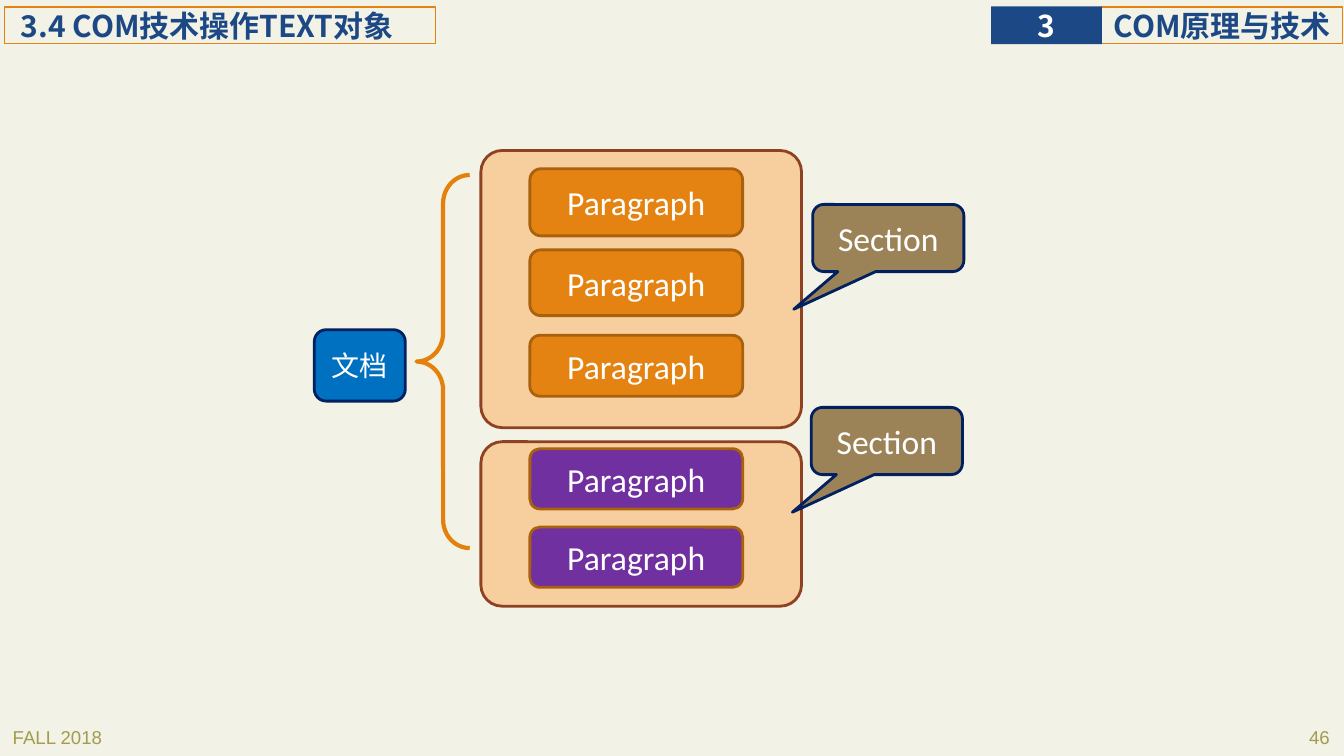
from dataclasses import dataclass
from lxml import etree
from pptx import Presentation
from pptx import util as u
from pptx.dml.color import RGBColor
from pptx.enum import shapes, text
from pptx.oxml.ns import qn

Pt = u.Pt
Kind = shapes.MSO_SHAPE
Side = text.PP_ALIGN


@dataclass(frozen=True)
class Theme:
    back: str = "F3F2E6"
    foot: str = "A39B4E"
    navy: str = "1C4885"
    white: str = "FFFFFF"
    amber: str = "E48312"
    brown: str = "A9610D"
    brace: str = "E4810C"
    peach: str = "F7CE9D"
    rust: str = "8E4221"
    blue: str = "0070C0"
    deep: str = "002060"
    khaki: str = "9B8357"
    plum: str = "7030A0"
    head: str = "Noto Sans CJK SC"
    body: str = "Calibri"
    plain: str = "Arial"
    small: float = 13.3
    title: float = 21.4
    doc: float = 20
    label: float = 24
    edge: float = 2


T = Theme()


@dataclass(frozen=True)
class Box:
    left: float
    top: float
    width: float
    height: float


@dataclass(frozen=True)
class Type:
    size: float
    face: str
    color: str
    bold: bool = False
    align: Side = Side.CENTER


@dataclass(frozen=True)
class Head:
    words: str
    box: Box
    inset: float
    fill: str | None
    line: str | None
    color: str
    align: Side


@dataclass(frozen=True)
class Part:
    box: Box
    round: float
    color: str
    rows: tuple[tuple[float, float], ...]  # top and height of each paragraph
    note: Box


LABEL = Type(T.label, T.body, T.white)


def write(shape, words: str, kind: Type) -> None:
    frame = shape.text_frame
    frame.word_wrap = True
    frame.vertical_anchor = text.MSO_ANCHOR.MIDDLE
    para = frame.paragraphs[0]
    para.text = words
    para.alignment = kind.align
    font = para.font
    font.size, font.name, font.bold = Pt(kind.size), kind.face, kind.bold
    font.color.rgb = RGBColor.from_string(kind.color)
    # East Asian face for the Chinese letters
    base = para._p.find(".//" + qn("a:defRPr"))
    etree.SubElement(base, qn("a:ea")).set("typeface", T.head)


def draw(slide, kind: Kind, box: Box, fill: str | None, line: str | None,
         width: float = T.edge, adjust: tuple[float, ...] = ()):
    shape = slide.shapes.add_shape(
        kind, Pt(box.left), Pt(box.top), Pt(box.width), Pt(box.height))
    shape.shadow.inherit = False
    if fill:
        shape.fill.solid()
        shape.fill.fore_color.rgb = RGBColor.from_string(fill)
    else:
        shape.fill.background()
    if line:
        shape.line.color.rgb = RGBColor.from_string(line)
        shape.line.width = Pt(width)
    else:
        shape.line.fill.background()
    for i, value in enumerate(adjust):
        shape.adjustments[i] = value
    return shape


def put_head(slide, head: Head) -> None:
    shape = draw(slide, Kind.RECTANGLE, head.box, head.fill, head.line, 0.75)
    write(shape, head.words, Type(T.title, T.head, head.color, True, head.align))
    frame = shape.text_frame
    frame.margin_left = Pt(head.inset)
    frame.margin_top = frame.margin_right = frame.margin_bottom = 0


def put_foot(slide, words: str, left: float, align: Side) -> None:
    shape = slide.shapes.add_textbox(Pt(left), Pt(515.5), Pt(200), Pt(22.5))
    write(shape, words, Type(T.small, T.plain, T.foot, align=align))


def put_part(slide, part: Part) -> None:
    draw(slide, Kind.ROUNDED_RECTANGLE, part.box, T.peach, T.rust,
         adjust=(part.round,))
    for top, height in part.rows:
        row = draw(slide, Kind.ROUNDED_RECTANGLE, Box(378.5, top, 152, height),
                   part.color, T.brown)
        write(row, "Paragraph", LABEL)
    note = draw(slide, Kind.ROUNDED_RECTANGULAR_CALLOUT, part.note, T.khaki,
                T.deep, adjust=(-0.625, 1.06, 0.167))
    write(note, "Section", LABEL)


HEADS = (
    Head("COM原理与技术", Box(787, 5, 172, 26), 8.5, None, T.amber, T.navy, Side.LEFT),
    Head("3", Box(708, 4.5, 79, 27), 0, T.navy, None, T.white, Side.CENTER),
    Head("3.4 COM技术操作TEXT对象", Box(3.5, 5, 307.5, 26), 11.5, None, T.amber,
         T.navy, Side.LEFT),
)
PARTS = (
    Part(Box(343.5, 107.5, 229, 198), 0.077, T.amber,
         ((120.5, 48), (178.5, 47), (239.5, 43.5)), Box(580.5, 146, 108, 48)),
    Part(Box(343.5, 315.5, 229, 117.5), 0.129, T.plum,
         ((320.5, 43), (376.5, 43)), Box(579.5, 291, 108, 48)),
)


def main() -> None:
    deck = Presentation()
    deck.slide_width, deck.slide_height = Pt(960), Pt(540)
    slide = deck.slides.add_slide(deck.slide_layouts[6])
    slide.background.fill.solid()
    slide.background.fill.fore_color.rgb = RGBColor.from_string(T.back)

    # Footer and heading bars
    put_foot(slide, "FALL 2018", 2, Side.LEFT)
    put_foot(slide, "46", 757, Side.RIGHT)
    for head in HEADS:
        put_head(slide, head)

    # Document and its brace
    draw(slide, Kind.LEFT_BRACE, Box(297.5, 125, 38, 266.5), None, T.brace, 3,
         (0.534, 0.5))
    doc = draw(slide, Kind.ROUNDED_RECTANGLE, Box(224.5, 235.5, 65, 51),
               T.blue, T.deep)
    write(doc, "文档", Type(T.doc, T.body, T.white))

    # Sections with their paragraphs
    for part in PARTS:
        put_part(slide, part)

    deck.save("out.pptx")


if __name__ == "__main__":
    main()
